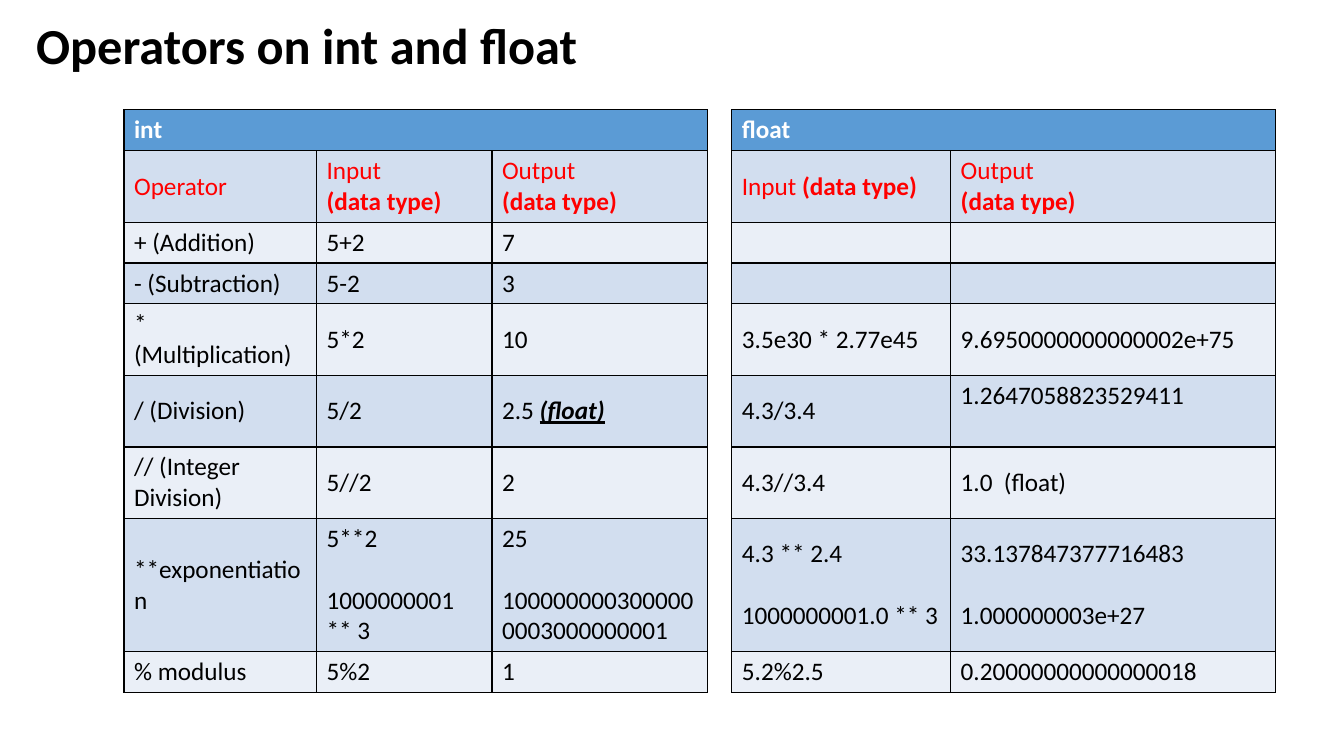
import pptx
import pptx.util
import pptx.dml.color
import pptx.enum.text
import pptx.oxml
import pptx.oxml.ns

Inches = pptx.util.Inches
Pt = pptx.util.Pt
MIDDLE = pptx.enum.text.MSO_ANCHOR.MIDDLE

HEAD, DARK, LIGHT = "5B9BD5", "D2DEEF", "EAEFF7"
WIDTHS = [1.91, 1.74, 2.14, 0.23, 2.17, 3.22]
LINES = [1, 2, 1, 1, 2, 2, 2, 4, 1]
GAP = 3
POWER = 7
ROWS = [
    ["int", "", "", "", "float", ""],
    ["Operator", "Input\n|(data type)", "Output\n|(data type)", "",
     "Input |(data type)", "Output\n|(data type)"],
    ["+ (Addition)", "5+2", "7", "", "", ""],
    ["- (Subtraction)", "5-2", "3", "", "", ""],
    ["* (Multiplication)", "5*2", "10", "",
     "3.5e30 * 2.77e45", "9.6950000000000002e+75"],
    ["/ (Division)", "5/2", "2.5 |(float)", "", "4.3/3.4", "1.2647058823529411"],
    ["// (Integer Division)", "5//2", "2", "", "4.3//3.4", "1.0  (float)"],
    ["**exponentiation", "5**2\n1000000001 ** 3",
     "25\n1000000003000000003000000001", "",
     "4.3 ** 2.4\n1000000001.0 ** 3", "33.137847377716483\n1.000000003e+27"],
    ["% modulus", "5%2", "1", "", "5.2%2.5", "0.20000000000000018"],
]


def color(code):
    return pptx.dml.color.RGBColor.from_string(code)


def add_run(para, text, size, ink, bold=False, slant=False):
    run = para.add_run()
    run.text = text
    font = run.font
    font.name = "Calibri"
    font.size = Pt(size)
    font.color.rgb = color(ink)
    font.bold = bold
    font.italic = slant
    font.underline = slant


def add_title(slide, text):
    box = slide.shapes.add_textbox(Inches(0.26), Inches(0.2), Inches(6.04), Inches(0.55))
    frame = box.text_frame
    frame.word_wrap = True
    frame.vertical_anchor = MIDDLE
    para = frame.paragraphs[0]
    para.line_spacing = 0.9
    add_run(para, text, 36, "000000", bold=True)


def set_edges(cell, sides):
    props = cell._tc.get_or_add_tcPr()
    space = pptx.oxml.ns.nsdecls("a")
    for side in "LRTB":
        if side in sides:
            paint = '<a:solidFill><a:srgbClr val="000000"/></a:solidFill>'
        else:
            paint = "<a:noFill/>"
        props.append(pptx.oxml.parse_xml(
            f'<a:ln{side} {space} w="12700">{paint}</a:ln{side}>'))


def fill_text(cell, text, row):
    frame = cell.text_frame
    ink = {0: "FFFFFF", 1: "FF0000"}.get(row, "000000")
    for index, line in enumerate(text.split("\n")):
        para = frame.add_paragraph() if index else frame.paragraphs[0]
        para.font.size = Pt(18)
        if index and row == POWER:
            para.space_before = Pt(22)
        plain, _, strong = line.partition("|")
        if plain:
            add_run(para, plain, 18, ink, bold=row == 0)
        if strong:
            add_run(para, strong, 18, ink, bold=True, slant=row > 1)


def add_grid(slide):
    heights = [0.1 + 0.305 * count for count in LINES]
    frame = slide.shapes.add_table(
        len(ROWS), len(WIDTHS), Inches(1.23), Inches(1.09),
        Inches(sum(WIDTHS)), Inches(sum(heights)))
    table = frame.table
    table.first_row = False
    table.horz_banding = False
    for column, width in zip(table.columns, WIDTHS):
        column.width = Inches(width)
    for line, height in zip(table.rows, heights):
        line.height = Inches(height)
    for row, texts in enumerate(ROWS):
        shade = HEAD if row == 0 else (DARK if row % 2 else LIGHT)
        for col, text in enumerate(texts):
            cell = table.cell(row, col)
            cell.vertical_anchor = MIDDLE
            set_edges(cell, "LR" if col == GAP else "LRTB")
            if col == GAP:
                cell.fill.background()
            else:
                cell.fill.solid()
                cell.fill.fore_color.rgb = color(shade)
            fill_text(cell, text, row)
    table.cell(5, 5).margin_bottom = Inches(0.35)
    for first, last in ((0, GAP - 1), (GAP + 1, len(WIDTHS) - 1)):
        table.cell(0, first).merge(table.cell(0, last))


def main():
    deck = pptx.Presentation()
    deck.slide_width = Inches(13.33)
    deck.slide_height = Inches(7.5)
    slide = deck.slides.add_slide(deck.slide_layouts[6])
    add_title(slide, "Operators on int and float")
    add_grid(slide)
    deck.save("out.pptx")


if __name__ == "__main__":
    main()
